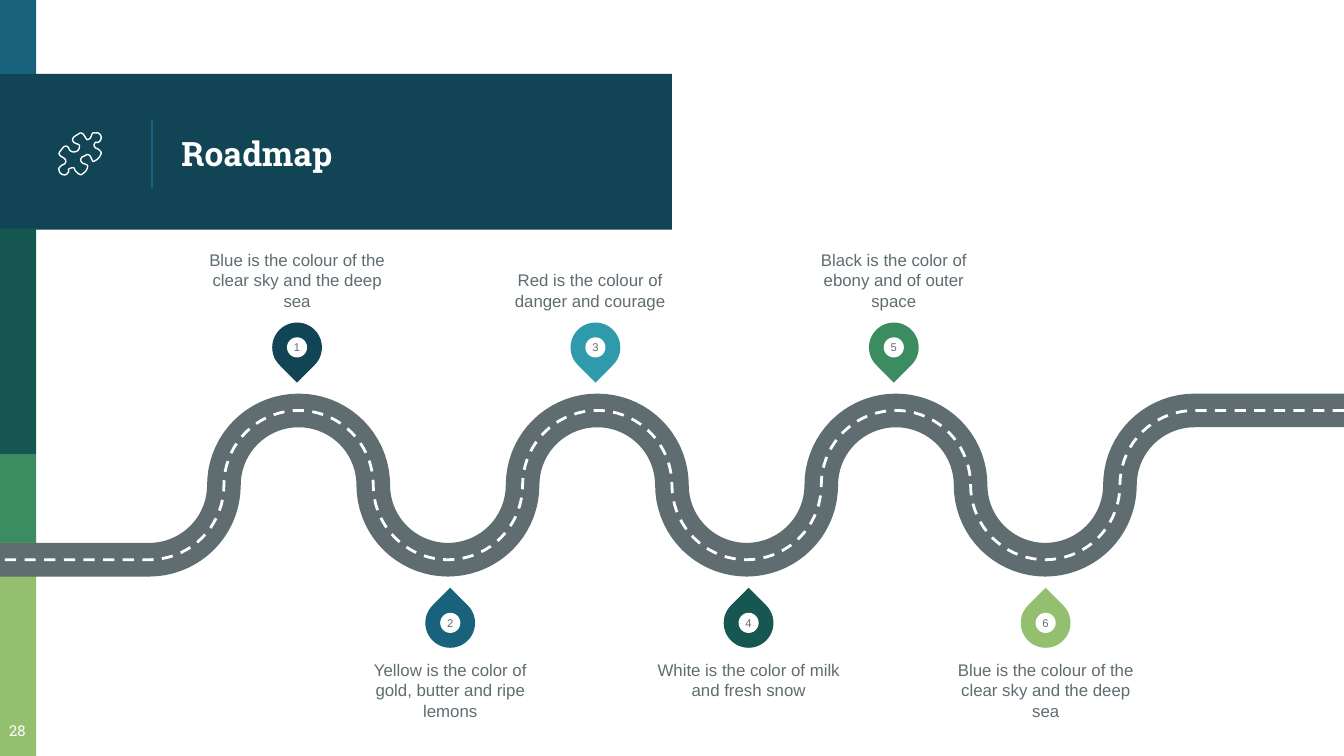
import math

from lxml import etree
from pptx import Presentation
from pptx import util as u
from pptx.dml.color import RGBColor
from pptx.enum import dml, shapes, text
from pptx.oxml.ns import qn

NAVY = RGBColor(0x11, 0x44, 0x54)
BLUE = RGBColor(0x18, 0x63, 0x7B)
AQUA = RGBColor(0x30, 0x9A, 0xAD)
PINE = RGBColor(0x16, 0x57, 0x51)
GREEN = RGBColor(0x3B, 0x8D, 0x61)
LIME = RGBColor(0x94, 0xBF, 0x6E)
GREY = RGBColor(0x5F, 0x6C, 0x70)
WHITE = RGBColor(0xFF, 0xFF, 0xFF)

BODY_FONT, TITLE_FONT = "Arial", "Roboto Slab"

# Left, top, width, height, colour
BANDS = [
    (0, 0, 0.27, 0.58, BLUE),
    (0, 0.55, 5, 1.16, NAVY),
    (0, 1.7, 0.27, 1.68, PINE),
    (0, 3.38, 0.27, 0.66, GREEN),
    (0, 4.04, 0.27, 1.59, LIME),
]

# Wording, colour, pin centre, label centre; odd steps stand above the road
STEPS = [
    ("Blue is the colour of the clear sky and the deep sea", NAVY, 2.21, 2.21),
    ("Yellow is the color of gold, butter and ripe lemons", BLUE, 3.35, 3.35),
    ("Red is the colour of danger and courage", AQUA, 4.43, 4.39),
    ("White is the color of milk and fresh snow", PINE, 5.57, 5.57),
    ("Black is the color of ebony and of outer space", GREEN, 6.65, 6.65),
    ("Blue is the colour of the clear sky and the deep sea", LIME, 7.78, 7.78),
]

# Outline of the puzzle piece, in hundredths of an inch
PUZZLE = [
    (71, 106), (73, 106), (75, 104), (75, 101), (73, 99), (71, 99), (69, 99),
    (68, 101), (67, 103), (65, 104), (64, 103), (62, 100), (60, 99), (58, 100),
    (55, 102), (54, 104), (55, 106), (57, 107), (59, 108), (59, 110), (58, 112),
    (56, 113), (54, 113), (52, 112), (51, 110), (50, 109), (48, 109), (46, 111),
    (44, 114), (45, 116), (48, 118), (49, 120), (48, 122), (46, 123), (44, 125),
    (44, 127), (45, 129), (47, 130), (49, 130), (51, 128), (51, 126), (53, 125),
    (55, 125), (56, 127), (58, 129), (60, 130), (62, 129), (64, 127), (65, 125),
    (65, 123), (63, 122), (61, 121), (60, 119), (61, 117), (63, 116), (65, 115),
    (67, 116), (68, 118), (69, 120), (70, 120), (73, 118), (75, 115), (75, 113),
    (73, 111), (71, 110), (70, 108),
]


def add_filled_shape(slide, kind, left, top, width, height, colour):
    shape = slide.shapes.add_shape(
        kind, u.Inches(left), u.Inches(top), u.Inches(width), u.Inches(height))
    shape.shadow.inherit = False
    shape.fill.solid()
    shape.fill.fore_color.rgb = colour
    shape.line.fill.background()
    return shape


def write_text(shape, wording, size, colour, font=BODY_FONT, margin=0.0,
               anchor=text.MSO_ANCHOR.MIDDLE, align=text.PP_ALIGN.CENTER, bold=False):
    frame = shape.text_frame
    frame.text = wording
    frame.word_wrap = True
    frame.auto_size = text.MSO_AUTO_SIZE.NONE
    frame.vertical_anchor = anchor
    frame.margin_left = frame.margin_right = u.Inches(margin)
    frame.margin_top = frame.margin_bottom = u.Inches(margin)
    paragraph = frame.paragraphs[0]
    paragraph.alignment = align
    run_font = paragraph.runs[0].font
    run_font.name, run_font.size, run_font.bold = font, u.Pt(size), bold
    run_font.color.rgb = colour


def add_text(slide, left, top, width, height, wording, size, colour, **style):
    box = slide.shapes.add_textbox(
        u.Inches(left), u.Inches(top), u.Inches(width), u.Inches(height))
    write_text(box, wording, size, colour, **style)


def add_outline(slide, points, colour, width, close=False, dash=None):
    start, *rest = [(u.Inches(x), u.Inches(y)) for x, y in points]
    builder = slide.shapes.build_freeform(*start)
    builder.add_line_segments(rest, close=close)
    shape = builder.convert_to_shape()
    shape.shadow.inherit = False
    shape.fill.background()
    shape.line.color.rgb = colour
    shape.line.width = u.Pt(width)
    if dash:
        shape.line.dash_style = dash


def road_points():
    """Follow the road from right to left as a chain of half circles."""
    spacing, middle = 10 / 9, 3.61
    radius = spacing / 2
    points = [(10, middle - radius)]
    for bend in range(8, 0, -1):
        side = -1 if bend % 2 == 0 else 1
        first = 90 if bend == 8 else 0
        last = 90 if bend == 1 else 180
        for degrees in range(first, last + 1, 5):
            angle = math.radians(degrees)
            points.append((bend * spacing + radius * math.cos(angle),
                           middle + side * radius * math.sin(angle)))
    return points + [(0, middle + radius)]


def smooth_loop(points, parts=4):
    """Round a closed outline with a Catmull-Rom curve."""
    curve = []
    for i in range(len(points)):
        corners = [points[(i + k) % len(points)] for k in (-1, 0, 1, 2)]
        for part in range(parts):
            t = part / parts
            curve.append(tuple(
                (2 * b + (c - a) * t + (2 * a - 5 * b + 4 * c - d) * t ** 2
                 + (3 * b - a - 3 * c + d) * t ** 3) / 2
                for a, b, c, d in zip(*corners)))
    return curve


def add_header(slide):
    for band in BANDS:
        add_filled_shape(slide, shapes.MSO_SHAPE.RECTANGLE, *band)

    # Divider between icon and title
    divider = slide.shapes.add_connector(
        shapes.MSO_CONNECTOR.STRAIGHT,
        u.Inches(1.13), u.Inches(0.89), u.Inches(1.13), u.Inches(1.4))
    divider.line.color.rgb = BLUE
    divider.line.width = u.Pt(0.75)
    etree.SubElement(divider.element.spPr, qn("a:effectLst"))

    # Title, brought in front of its band
    title = slide.shapes.title
    title.left, title.top = u.Inches(1.25), u.Inches(0.58)
    title.width, title.height = u.Inches(3.51), u.Inches(1.12)
    write_text(title, "Roadmap", 18, WHITE, font=TITLE_FONT, margin=0.1,
               align=text.PP_ALIGN.LEFT, bold=True)
    title.element.getparent().append(title.element)

    # Page number
    add_text(slide, -0.06, 5.27, 0.38, 0.35, "28", 8, WHITE, font=TITLE_FONT,
             margin=0.1, anchor=text.MSO_ANCHOR.TOP)


def add_pin(slide, number, centre, colour, above):
    size, dot = 0.37, 0.15
    top = 2.4 if above else 4.45
    pin = add_filled_shape(slide, shapes.MSO_SHAPE.TEAR, centre - size / 2, top,
                           size, size, colour)
    pin.rotation = 135 if above else 315
    badge = add_filled_shape(slide, shapes.MSO_SHAPE.OVAL, centre - dot / 2,
                             top + (size - dot) / 2, dot, dot, WHITE)
    write_text(badge, str(number), 6, GREY)


def add_label(slide, wording, centre, above):
    width = 1.41
    anchor = text.MSO_ANCHOR.BOTTOM if above else text.MSO_ANCHOR.TOP
    add_text(slide, centre - width / 2, 1.73 if above else 4.91, width, 0.58,
             wording, 9, GREY, anchor=anchor)


def main():
    # Widescreen slide, 16 to 9
    presentation = Presentation()
    presentation.slide_width = u.Inches(10)
    presentation.slide_height = u.Inches(10 * 9 / 16)
    slide = presentation.slides.add_slide(presentation.slide_layouts[5])

    add_header(slide)

    # Road with its dashed centre line
    road = road_points()
    add_outline(slide, road, GREY, 18)
    add_outline(slide, road, WHITE, 1.5, dash=dml.MSO_LINE.DASH)

    # Milestones
    for number, (wording, colour, pin_centre, label_centre) in enumerate(STEPS, 1):
        above = number % 2 == 1
        add_pin(slide, number, pin_centre, colour, above)
        add_label(slide, wording, label_centre, above)

    # Puzzle icon
    puzzle = [(x / 100, y / 100) for x, y in PUZZLE]
    add_outline(slide, smooth_loop(puzzle), WHITE, 0.75, close=True)

    presentation.save("out.pptx")


if __name__ == "__main__":
    main()
